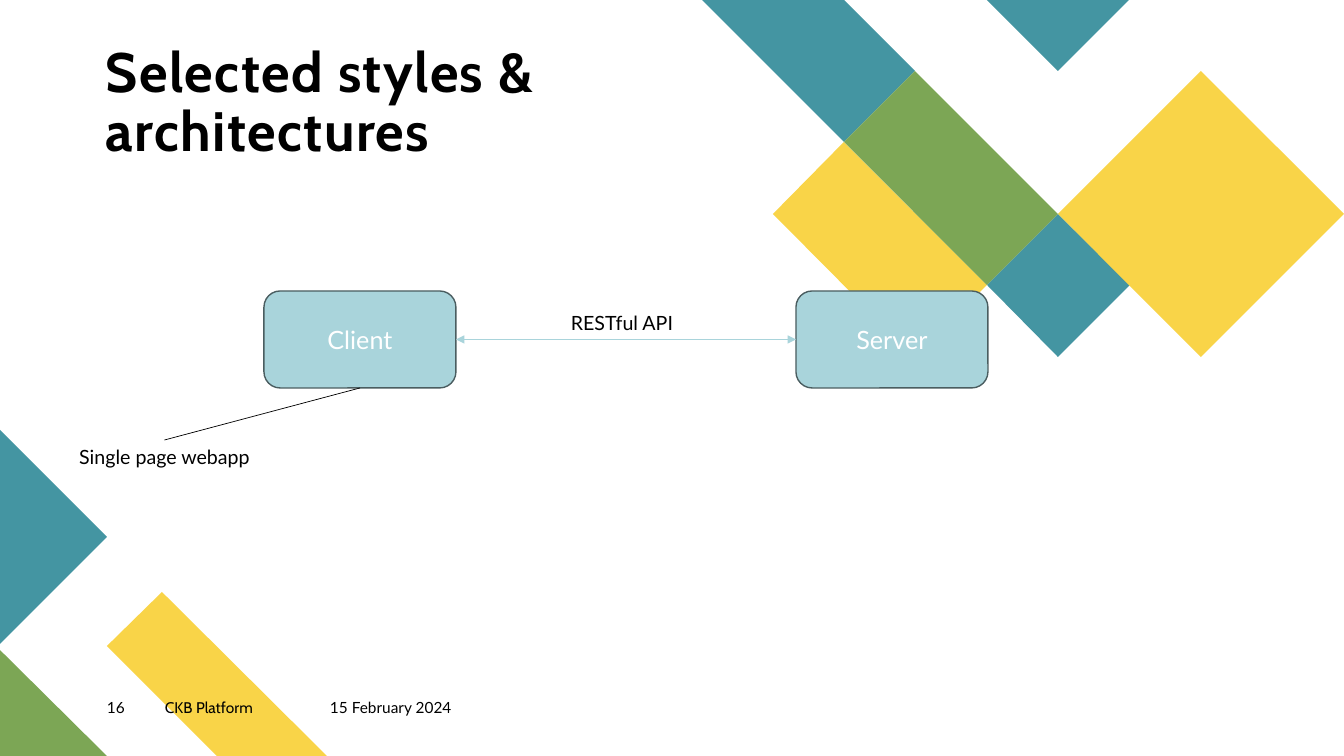
from lxml import etree
from pptx import Presentation
from pptx.dml.color import RGBColor
from pptx.enum.shapes import MSO_CONNECTOR, MSO_SHAPE
from pptx.enum.text import MSO_ANCHOR, MSO_AUTO_SIZE, PP_ALIGN
from pptx.oxml.ns import qn
from pptx.util import Pt

PX = 914400 / 100.8
LEFT, CENTER = PP_ALIGN.LEFT, PP_ALIGN.CENTER
TOP, MIDDLE, BOTTOM = MSO_ANCHOR.TOP, MSO_ANCHOR.MIDDLE, MSO_ANCHOR.BOTTOM
FIT = MSO_AUTO_SIZE.SHAPE_TO_FIT_TEXT
STRAIGHT, ROUNDED = MSO_CONNECTOR.STRAIGHT, MSO_SHAPE.ROUNDED_RECTANGLE
COLORS = {"teal": "4495A2", "yellow": "F9D448", "green": "7CA655",
          "box": "A9D4DB", "edge": "4A5D60", "black": "000000", "white": "FFFFFF"}

# Each ornament: colour, then one or more outlines
ORNAMENTS = [
    ("yellow", [(327, 756), (217, 756), (107, 646), (162, 592)]),
    ("green", [(0, 650), (107, 756), (0, 756)]),
    ("teal", [(0, 430), (107, 537), (0, 644)]),
    ("teal", [(915, 71), (844, 0), (702, 0), (844, 142)],
             [(1130, 285), (1058, 214), (987, 285), (1058, 357)]),
    ("yellow", [(844, 142), (773, 214), (915, 357), (987, 285)]),
    ("teal", [(1129, 0), (987, 0), (1058, 71)]),
    ("green", [(915, 71), (844, 142), (987, 285), (1058, 214)]),
    ("yellow", [(1344, 214), (1201, 71), (1058, 214), (1201, 357)]),
]
FOOTER = [(107, 57, "16", "Lato"), (330, 145, "15 February 2024", "Lato"),
          (165, 165, "CKB Platform", "Cabin")]


def px(*values):
    return [round(v * PX) for v in values]


def rgb(name):
    return RGBColor.from_string(COLORS[name])


def write(tf, text, size=14, font="Lato", color="black", bold=False,
          align=LEFT, anchor=TOP, line_spacing=None, tracking=None):
    tf.word_wrap = True
    tf.vertical_anchor = anchor
    p = tf.paragraphs[0]
    p.alignment = align
    p.line_spacing = line_spacing
    r = p.add_run()
    r.text = text
    r.font.size, r.font.name, r.font.bold = Pt(size), font, bold
    r.font.color.rgb = rgb(color)
    if tracking:
        r.font._element.set("spc", str(tracking * 100))


class Slide:
    def __init__(self, prs):
        self.s = prs.slides.add_slide(prs.slide_layouts[6])

    def polygon(self, color, *outlines):
        fb = self.s.shapes.build_freeform(*outlines[0][0], scale=PX)
        for i, points in enumerate(outlines):
            if i:
                fb.move_to(*points[0])
            fb.add_line_segments(points[1:], close=True)
        sp = fb.convert_to_shape()
        sp.shadow.inherit = False
        sp.fill.solid()
        sp.fill.fore_color.rgb = rgb(color)
        sp.line.fill.background()

    def text(self, x, y, w, h, text, inset=True, **fmt):
        sp = self.s.shapes.add_textbox(*px(x, y, w, h))
        tf = sp.text_frame
        if inset:
            tf.auto_size = FIT
        else:
            tf.margin_left = tf.margin_top = tf.margin_right = tf.margin_bottom = 0
        write(tf, text, **fmt)
        return sp

    def box(self, x, y, w, h, text):
        sp = self.s.shapes.add_shape(ROUNDED, *px(x, y, w, h))
        sp.shadow.inherit = False
        sp.fill.solid()
        sp.fill.fore_color.rgb = rgb("box")
        sp.line.color.rgb = rgb("edge")
        sp.line.width = Pt(1)
        write(sp.text_frame, text, size=18, color="white", align=CENTER, anchor=MIDDLE)
        return sp

    def link(self, start, start_side, end, end_side, color, arrows=False):
        c = self.s.shapes.add_connector(STRAIGHT, 0, 0, 0, 0)
        c.begin_connect(start, start_side)
        c.end_connect(end, end_side)
        c.line.color.rgb = rgb(color)
        c.line.width = Pt(0.5)
        if arrows:
            ln = c.line._get_or_add_ln()
            for tag in ("a:headEnd", "a:tailEnd"):
                etree.SubElement(ln, qn(tag), type="triangle")
        etree.SubElement(c._element.spPr, qn("a:effectLst"))


def main():
    prs = Presentation()
    prs.slide_width, prs.slide_height = px(1344, 756)
    s = Slide(prs)
    for color, *outlines in ORNAMENTS:
        s.polygon(color, *outlines)
    s.text(106, 97, 544, 67, "Selected styles & architectures", inset=False, size=39.6,
           font="Cabin", bold=True, anchor=BOTTOM, line_spacing=0.9, tracking=1)
    for x, w, text, font in FOOTER:
        s.text(x, 698, w, 27, text, inset=False, size=11, font=font)
    client, server = [s.box(x, 291, 192, 97, name)
                      for x, name in ((264, "Client"), (796, "Server"))]
    s.link(client, 3, server, 1, "box", arrows=True)
    s.text(561, 306, 145, 34, "RESTful API")
    webapp = s.text(69, 440, 191, 34, "Single page webapp", align=CENTER)
    s.link(client, 2, webapp, 0, "black")
    prs.save("out.pptx")


if __name__ == "__main__":
    main()
